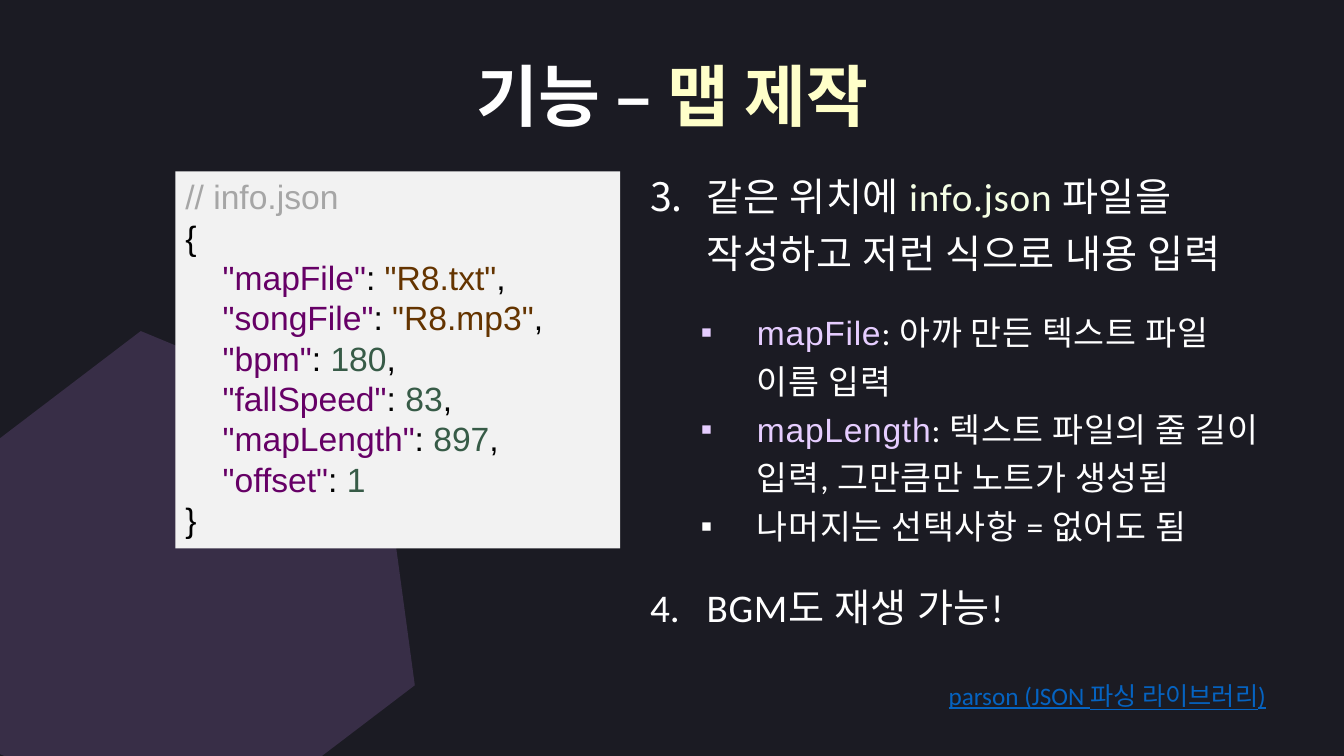
from dataclasses import dataclass

from lxml.etree import SubElement
from pptx import Presentation
from pptx.dml.color import RGBColor
from pptx.enum.shapes import MSO_SHAPE as Shape
from pptx.enum.text import MSO_ANCHOR as Anchor, MSO_AUTO_SIZE as AutoSize, PP_ALIGN as Align
from pptx.oxml.ns import qn
from pptx.util import Inches, Pt


@dataclass(frozen=True)
class Theme:
    background: str = "1B1B23"
    hexagon: str = "B07BD7"
    white: str = "FFFFFF"
    title_accent: str = "FFFFC9"
    file_name: str = "F5FFE5"
    field: str = "E6CDFF"
    link: str = "0563C1"
    panel: str = "F2F2F2"
    comment: str = "A6A6A6"
    code: str = "000000"
    key: str = "660066"
    string: str = "643400"
    number: str = "375B47"
    text_font: str = "Calibri"
    code_font: str = "Arial"
    title_size: int = 48
    step_size: int = 28
    detail_size: int = 24
    code_size: int = 24
    link_size: int = 18
    step_gap: int = 20


THEME = Theme()

SETTINGS = [
    ("mapFile", '"R8.txt"'),
    ("songFile", '"R8.mp3"'),
    ("bpm", "180"),
    ("fallSpeed", "83"),
    ("mapLength", "897"),
    ("offset", "1"),
]

DETAILS = [
    ("mapFile", ": 아까 만든 텍스트 파일\n이름 입력"),
    ("mapLength", ": 텍스트 파일의 줄 길이\n입력, 그만큼만 노트가 생성됨"),
    ("", "나머지는 선택사항 = 없어도 됨"),
]


def rgb(code):
    return RGBColor.from_string(code)


def add_span(para, text, color, size, font=THEME.text_font, bold=False, spacing=0):
    """Append one styled span; a newline in the text becomes a line break."""
    for number, line in enumerate(text.split("\n")):
        if number:
            para.add_line_break()
        span = para.add_run()
        span.text = line
        span.font.name = font
        span.font.size = Pt(size)
        span.font.bold = bold
        span.font.color.rgb = rgb(color)
        if spacing:
            span.font._element.set("spc", str(int(spacing * 100)))


def set_indent(para, left, first=0):
    properties = para._p.get_or_add_pPr()
    properties.set("marL", str(Inches(left)))
    properties.set("indent", str(Inches(first)))
    return properties


def next_para(frame):
    """Return the first paragraph while it is unused, otherwise a new one."""
    first = frame.paragraphs[0]
    return frame.add_paragraph() if first.runs else first


def add_box(page, left, top, width, height, wrap=True):
    box = page.shapes.add_textbox(Inches(left), Inches(top), Inches(width), Inches(height))
    box.text_frame.word_wrap = wrap
    return box


def add_shape(page, kind, left, top, width, height, color):
    shape = page.shapes.add_shape(kind, Inches(left), Inches(top), Inches(width), Inches(height))
    shape.shadow.inherit = False
    shape.fill.solid()
    shape.fill.fore_color.rgb = rgb(color)
    shape.line.fill.background()
    return shape


def add_hexagon(page):
    hexagon = add_shape(page, Shape.HEXAGON, -0.83, 3.6, 5.14, 4.43, THEME.hexagon)
    hexagon.rotation = 22.5
    hexagon.adjustments[0] = 0.29
    hexagon.adjustments[1] = 1.15
    color = hexagon._element.spPr.find(qn("a:solidFill"))[0]
    SubElement(color, qn("a:alpha"), val="20000")


def add_title(page):
    frame = add_box(page, 0.92, 0.4, 11.5, 1).text_frame
    frame.vertical_anchor = Anchor.BOTTOM
    para = frame.paragraphs[0]
    para.alignment = Align.CENTER
    para.line_spacing = 0.9
    add_span(para, "기능 – ", THEME.white, THEME.title_size, bold=True)
    add_span(para, "맵 제작", THEME.title_accent, THEME.title_size, bold=True)


def add_code_line(frame, *spans, indent=0.0):
    para = next_para(frame)
    para.alignment = Align.LEFT
    set_indent(para, indent)
    for text, color in spans:
        add_span(para, text, color, THEME.code_size, THEME.code_font)


def add_code_panel(page):
    panel = add_shape(page, Shape.RECTANGLE, 1.74, 1.7, 4.41, 3.74, THEME.panel)
    frame = panel.text_frame
    frame.word_wrap = False
    frame.auto_size = AutoSize.SHAPE_TO_FIT_TEXT
    frame.vertical_anchor = Anchor.TOP
    add_code_line(frame, ("// info.json", THEME.comment))
    add_code_line(frame, ("{", THEME.code))
    for key, value in SETTINGS:
        spans = [
            (f'"{key}"', THEME.key),
            (": ", THEME.code),
            (value, THEME.number if value.isdigit() else THEME.string),
        ]
        if key != SETTINGS[-1][0]:
            spans.append((",", THEME.code))
        add_code_line(frame, *spans, indent=0.37)
    add_code_line(frame, ("}", THEME.code))


def add_step(frame, number, *spans):
    para = next_para(frame)
    para.line_spacing = 1.2
    for text, color in spans:
        add_span(para, text, color, THEME.step_size, spacing=0.5)
    properties = set_indent(para, 0.56, -0.56)
    SubElement(properties, qn("a:buFont"), typeface=THEME.text_font)
    SubElement(properties, qn("a:buAutoNum"), type="arabicPeriod", startAt=str(number))
    return para


def add_detail(frame, field, text):
    para = next_para(frame)
    para.level = 1
    para.line_spacing = 1.2
    if field:
        add_span(para, field, THEME.field, THEME.detail_size, THEME.code_font, spacing=0.5)
    add_span(para, text, THEME.white, THEME.detail_size, spacing=0.5)
    properties = set_indent(para, 1.06, -0.56)
    SubElement(properties, qn("a:buFont"), typeface=THEME.code_font)
    SubElement(properties, qn("a:buChar"), char="▪")
    return para


def add_steps(page):
    frame = add_box(page, 6.35, 1.57, 6.53, 4.76).text_frame
    add_step(
        frame,
        3,
        ("같은 위치에 ", THEME.white),
        ("info.json ", THEME.file_name),
        ("파일을\n작성하고 저런 식으로 내용 입력", THEME.white),
    )
    details = [add_detail(frame, field, text) for field, text in DETAILS]
    last_step = add_step(frame, 4, ("BGM도 재생 가능!", THEME.white))
    for para in (details[0], last_step):
        para.space_before = Pt(THEME.step_gap)


def add_library_label(page):
    para = add_box(page, 9.31, 6.7, 3.7, 0.4, wrap=False).text_frame.paragraphs[0]
    add_span(para, "parson (JSON 파싱 라이브러리)", THEME.link, THEME.link_size)
    para.runs[0].font.underline = True


def main():
    deck = Presentation()
    deck.slide_width, deck.slide_height = Inches(13.33), Inches(7.5)
    page = deck.slides.add_slide(deck.slide_layouts[6])
    page.background.fill.solid()
    page.background.fill.fore_color.rgb = rgb(THEME.background)
    add_hexagon(page)
    add_title(page)
    add_steps(page)
    add_code_panel(page)
    add_library_label(page)
    deck.save("out.pptx")


if __name__ == "__main__":
    main()
